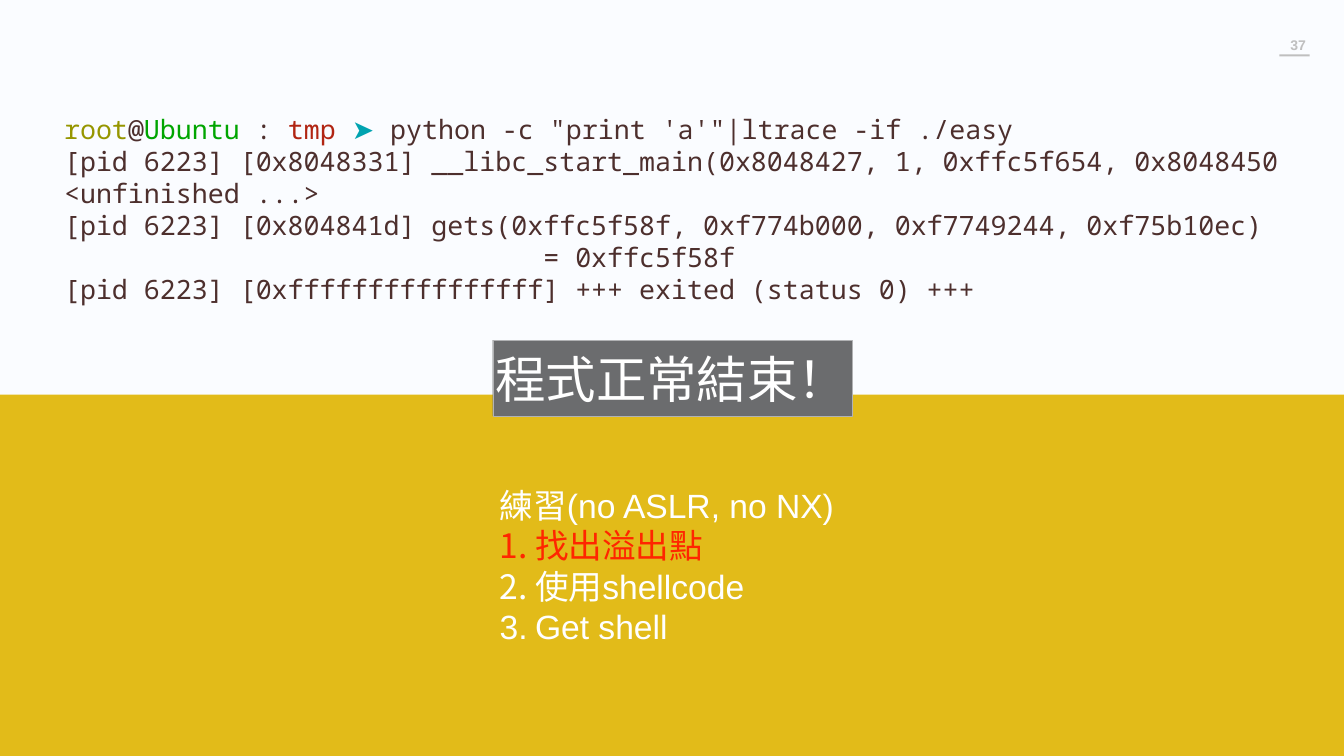
from pptx import Presentation
from pptx.dml.color import RGBColor
from pptx.enum.shapes import MSO_SHAPE
from pptx.enum.text import MSO_ANCHOR, MSO_AUTO_SIZE, PP_ALIGN
from pptx.oxml.ns import qn
from pptx.util import Inches, Pt
from lxml import etree

RECTANGLE = MSO_SHAPE.RECTANGLE
TOP, MIDDLE = MSO_ANCHOR.TOP, MSO_ANCHOR.MIDDLE
LEFT, CENTER = PP_ALIGN.LEFT, PP_ALIGN.CENTER
FIT_SHAPE = MSO_AUTO_SIZE.SHAPE_TO_FIT_TEXT

PAPER = RGBColor(0xFA, 0xFC, 0xFF)
LIGHT_GRAY = RGBColor(0xBF, 0xBF, 0xBF)
MUSTARD = RGBColor(0xE2, 0xBB, 0x19)
SLATE = RGBColor(0x6B, 0x6C, 0x6E)
SLATE_EDGE = RGBColor(0xB1, 0xB2, 0xB4)
WHITE = RGBColor(0xFF, 0xFF, 0xFF)
RED = RGBColor(0xFF, 0x26, 0x00)
BROWN = RGBColor(0x4D, 0x2F, 0x2D)
OLIVE = RGBColor(0x96, 0x96, 0x00)
GREEN = RGBColor(0x00, 0xA5, 0x00)
BRICK = RGBColor(0xB1, 0x25, 0x13)
TEAL = RGBColor(0x00, 0xA3, 0xB0)

SANS, MONO = "Arial", "Noto Sans Mono"

PROMPT = [
    ("root", OLIVE),
    ("@", BROWN),
    ("Ubuntu", GREEN),
    (" : ", BROWN),
    ("tmp ", BRICK),
    ("➤ ", TEAL),
    ("python -c \"print 'a'\"|ltrace -if ./easy", BROWN),
]
TRACE = [
    "[pid 6223] [0x8048331] __libc_start_main(0x8048427, 1, 0xffc5f654, 0x8048450 <unfinished ...>",
    "[pid 6223] [0x804841d] gets(0xffc5f58f, 0xf774b000, 0xf7749244, 0xf75b10ec)"
    "                                = 0xffc5f58f",
    "[pid 6223] [0xffffffffffffffff] +++ exited (status 0) +++",
]
EXERCISE = "練習(no ASLR, no NX)"
STEPS = [("找出溢出點", RED), ("使用shellcode", WHITE), ("Get shell", WHITE)]


def add_block(slide, left, top, width, height, fill, edge=None):
    block = slide.shapes.add_shape(
        RECTANGLE, Inches(left), Inches(top), Inches(width), Inches(height))
    block.shadow.inherit = False
    block.fill.solid()
    block.fill.fore_color.rgb = fill
    if edge is None:
        block.line.fill.background()
    else:
        block.line.color.rgb = edge
        block.line.width = Pt(0.5)
    return block


def set_frame(frame, inset=0.05, wrap=False, anchor=TOP):
    frame.margin_left = frame.margin_right = Inches(inset)
    frame.margin_top = frame.margin_bottom = Inches(inset)
    frame.word_wrap = wrap
    frame.auto_size = FIT_SHAPE
    frame.vertical_anchor = anchor
    return frame


def add_text_frame(slide, left, top, width, height, **layout):
    box = slide.shapes.add_textbox(
        Inches(left), Inches(top), Inches(width), Inches(height))
    return set_frame(box.text_frame, **layout)


def number_paragraph(paragraph, color, indent=0.7):
    """Give the paragraph an automatic number with a hanging indent."""
    properties = paragraph._p.get_or_add_pPr()
    properties.set("marL", str(Inches(indent)))
    properties.set("indent", str(-Inches(indent)))
    bullet_color = etree.SubElement(properties, qn("a:buClr"))
    etree.SubElement(bullet_color, qn("a:srgbClr"), val=str(color))
    etree.SubElement(properties, qn("a:buAutoNum"), type="arabicPeriod")


def write_paragraph(frame, runs, size, font, first=False, bold=False,
                    align=LEFT, numbered=False):
    """Write (text, colour) runs as one paragraph."""
    paragraph = frame.paragraphs[0] if first else frame.add_paragraph()
    paragraph.alignment = align
    if numbered:
        number_paragraph(paragraph, runs[0][1])
    paragraph.font.size = Pt(size)
    paragraph.font.name = font
    paragraph.font.bold = bold
    if len(runs) == 1:
        paragraph.font.color.rgb = runs[0][1]
    for text, color in runs:
        run = paragraph.add_run()
        run.text = text
        if len(runs) > 1:
            run.font.color.rgb = color


def add_page_number(slide):
    add_block(slide, 25.37, 1.08, 0.6, 0.04, LIGHT_GRAY)
    frame = add_text_frame(slide, 25.48, 0.62, 0.52, 0.53, inset=0.1)
    write_paragraph(frame, [("37", LIGHT_GRAY)], 20, SANS,
                    first=True, bold=True, align=CENTER)


def add_console(slide):
    frame = add_text_frame(slide, 1.22, 2.19, 24.22, 4.57, wrap=True)
    write_paragraph(frame, PROMPT, 38, MONO, first=True)
    for line in TRACE:
        write_paragraph(frame, [(line, BROWN)], 38, MONO)


def add_verdict(slide):
    banner = add_block(slide, 9.77, 6.75, 7.12, 1.5, SLATE, SLATE_EDGE)
    frame = set_frame(banner.text_frame, anchor=MIDDLE)
    write_paragraph(frame, [("程式正常結束！", WHITE)], 72, SANS, first=True)


def add_exercise(slide):
    frame = add_text_frame(slide, 9.86, 9.57, 6.93, 3.7)
    write_paragraph(frame, [(EXERCISE, WHITE)], 48, SANS, first=True)
    for step in STEPS:
        write_paragraph(frame, [step], 48, SANS, numbered=True)


def main():
    deck = Presentation()
    deck.slide_width, deck.slide_height = Inches(26.65), Inches(15)
    slide = deck.slides.add_slide(deck.slide_layouts[6])
    slide.background.fill.solid()
    slide.background.fill.fore_color.rgb = PAPER

    add_page_number(slide)
    add_block(slide, 0, 7.83, 26.65, 7.17, MUSTARD)
    add_console(slide)
    add_verdict(slide)
    add_exercise(slide)
    deck.save("out.pptx")


if __name__ == "__main__":
    main()
